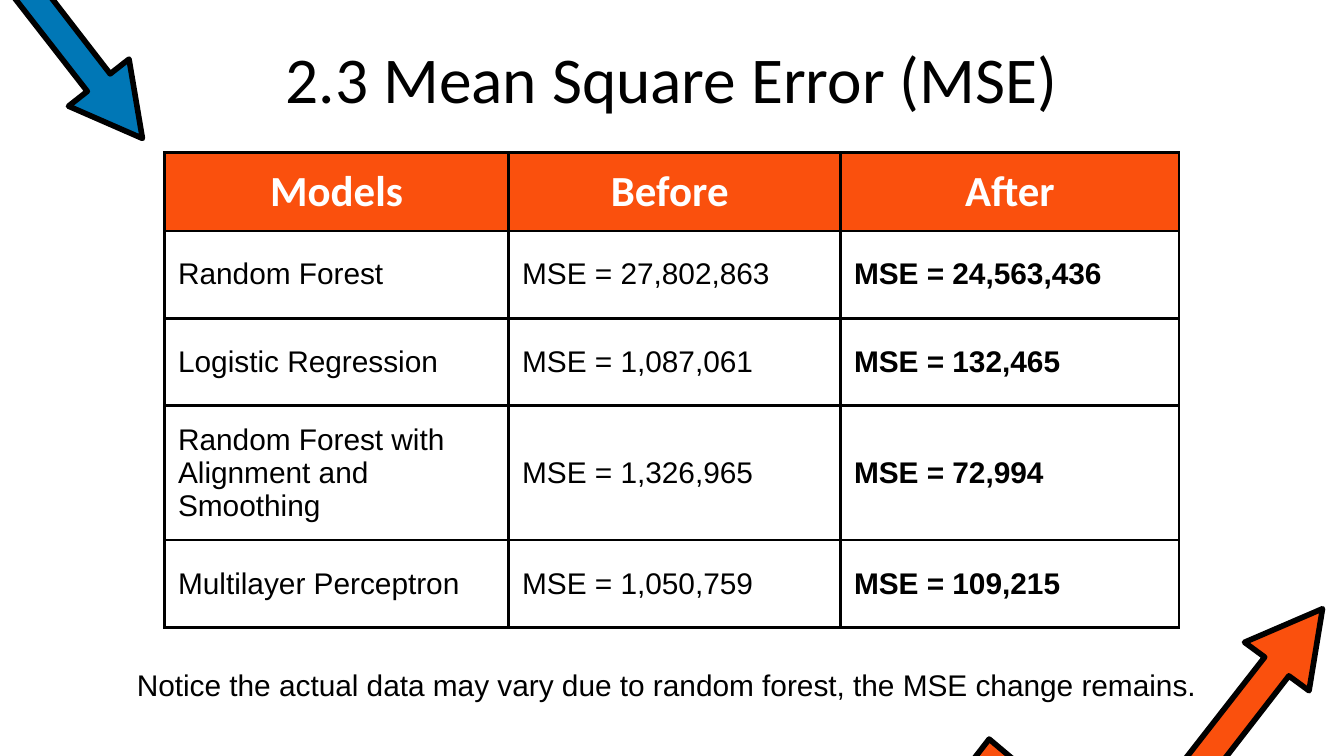
from pptx import Presentation
from pptx.dml.color import RGBColor
from pptx.enum.text import MSO_ANCHOR as Anchor, PP_ALIGN as Align
from pptx.oxml import parse_xml
from pptx.oxml.ns import nsdecls, qn
from pptx.util import Pt

EMU_PER_PX = 4572
SLIDE_SIZE = (2000, 1125)
BLACK, WHITE, BLUE, ORANGE = "000000", "FFFFFF", "0077B6", "FA500D"

TITLE = "2.3 Mean Square Error (MSE)"
NOTE = "Notice the actual data may vary due to random forest, the MSE change remains."
ROWS = [
    ("Models", "Before ", "After"),
    ("Random Forest", "MSE = 27,802,863", "MSE = 24,563,436"),
    ("Logistic Regression", "MSE = 1,087,061", "MSE = 132,465"),
    ("Random Forest with Alignment and Smoothing", "MSE = 1,326,965", "MSE = 72,994"),
    ("Multilayer Perceptron", "MSE = 1,050,759", "MSE = 109,215"),
]
TABLE_BOUNDS = (245, 227, 1510, 706)
COLUMN_WIDTHS = (512, 494, 504)
HEADER_HEIGHT, BODY_HEIGHT = 104, 130
CELL_MARGIN = 20

ARROWS = [
    (BLUE, [(212, 206), (102, 158), (130, 136), (-82, -136), (-264, 18), (-534, -330),
            (-500, -358), (-258, -44), (-74, -198), (164, 110), (192, 88)]),
    (ORANGE, [(1968, 906), (1852, 956), (1882, 978), (1662, 1260), (1472, 1100), (1190, 1464),
              (1226, 1492), (1480, 1166), (1670, 1326), (1918, 1006), (1948, 1028)]),
]


def px(length):
    return length * EMU_PER_PX


def colour(value):
    return RGBColor.from_string(value)


def style(para, font, size, ink=BLACK, bold=False, align=Align.LEFT):
    para.alignment = align
    para.font.name = font
    para.font.size = Pt(size)
    para.font.bold = bold
    para.font.color.rgb = colour(ink)


def add_arrow(page, fill, points):
    builder = page.shapes.build_freeform(*points[0], scale=EMU_PER_PX)
    builder.add_line_segments(points[1:], close=True)
    arrow = builder.convert_to_shape()
    arrow.shadow.inherit = False
    arrow.fill.solid()
    arrow.fill.fore_color.rgb = colour(fill)
    arrow.line.color.rgb = colour(BLACK)
    arrow.line.width = Pt(3)
    outline = arrow.element.spPr.find(qn("a:ln"))
    outline.append(parse_xml(f"<a:round {nsdecls('a')}/>"))


def add_text(page, bounds, text, font, size, align, anchor):
    box = page.shapes.add_textbox(*map(px, bounds))
    frame = box.text_frame
    frame.word_wrap = True
    frame.vertical_anchor = anchor
    frame.text = text
    style(frame.paragraphs[0], font, size, align=align)


def add_borders(cell):
    properties = cell._tc.get_or_add_tcPr()
    for side in "LRTB":
        properties.append(parse_xml(
            f'<a:ln{side} {nsdecls("a")} w="{Pt(1.5)}"><a:solidFill>'
            f'<a:srgbClr val="{BLACK}"/></a:solidFill></a:ln{side}>'))


def add_table(page):
    holder = page.shapes.add_table(len(ROWS), len(COLUMN_WIDTHS), *map(px, TABLE_BOUNDS))
    table = holder.table
    table.horz_banding = False
    for column, width in zip(table.columns, COLUMN_WIDTHS):
        column.width = px(width)
    for r, texts in enumerate(ROWS):
        table.rows[r].height = px(BODY_HEIGHT if r else HEADER_HEIGHT)
        for c, text in enumerate(texts):
            cell = table.cell(r, c)
            cell.text = text
            cell.vertical_anchor = Anchor.MIDDLE
            cell.margin_left = cell.margin_right = px(CELL_MARGIN)
            cell.margin_top = cell.margin_bottom = px(CELL_MARGIN)
            add_borders(cell)
            para = cell.text_frame.paragraphs[0]
            if r == 0:
                cell.fill.solid()
                cell.fill.fore_color.rgb = colour(ORANGE)
                style(para, "Calibri", 23, WHITE, True, Align.CENTER)
            else:
                cell.fill.background()
                justified = r == 1 and c > 0
                style(para, "Arial", 16, bold=c == 2,
                      align=Align.JUSTIFY if justified else Align.LEFT)
    holder.height = px(TABLE_BOUNDS[3])


deck = Presentation()
deck.slide_width, deck.slide_height = map(px, SLIDE_SIZE)
page = deck.slides.add_slide(deck.slide_layouts[6])
for fill, points in ARROWS:
    add_arrow(page, fill, points)
add_text(page, (157, 52, 1686, 126), TITLE, "Calibri", 35, Align.CENTER, Anchor.MIDDLE)
add_table(page)
add_text(page, (184, 983, 1640, 74), NOTE, "Arial", 16, Align.LEFT, Anchor.TOP)
deck.save("out.pptx")
